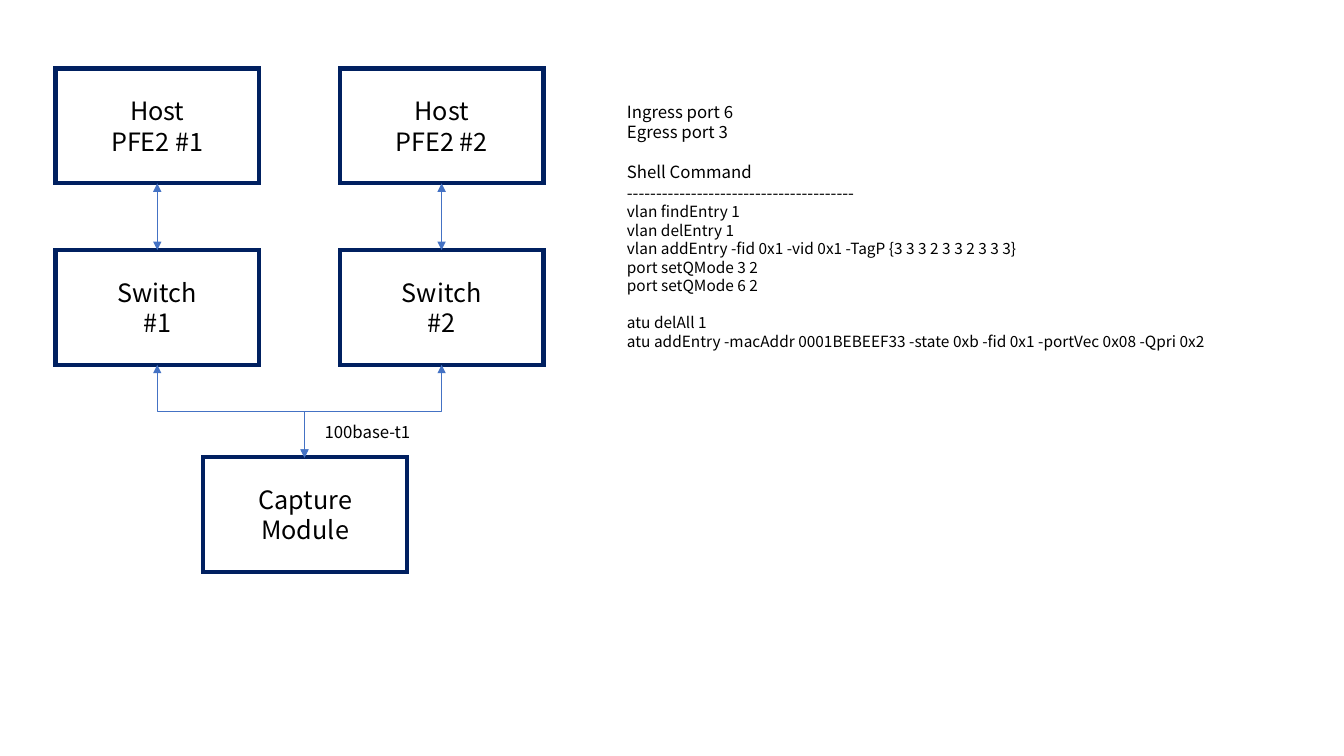
import pptx
import pptx.util
import pptx.dml.color
import pptx.enum.shapes
import pptx.enum.text
import pptx.oxml
import pptx.oxml.ns

Inches, Pt = pptx.util.Inches, pptx.util.Pt
CONNECTOR = pptx.enum.shapes.MSO_CONNECTOR

# Content: box lines with column and row on the diagram grid
BOXES = [
    (("Switch", "#1"), 0, 1),
    (("Switch", "#2"), 1, 1),
    (("Capture", "Module"), 0.52, 2.14),
    (("Host", "PFE2 #1"), 0, 0),
    (("Host", "PFE2 #2"), 1, 0),
]
# Each command line: text, size, space before
COMMANDS = [
    ("Ingress port 6", 12, 0),
    ("Egress port 3", 12, 0),
    ("Shell Command", 12, 14.4),
    ("---------------------------------------", 12, 0),
    ("vlan findEntry 1", 11, 0),
    ("vlan delEntry 1", 11, 0),
    ("vlan addEntry -fid 0x1 -vid 0x1 -TagP {3 3 3 2 3 3 2 3 3 3}", 11, 0),
    ("port setQMode 3 2", 11, 0),
    ("port setQMode 6 2", 11, 0),
    ("atu delAll 1", 11, 13.2),
    ("atu addEntry -macAddr 0001BEBEEF33 -state 0xb -fid 0x1 -portVec 0x08 -Qpri 0x2", 11, 0),
]
LINK_LABEL = [("100base-t1", 12, 0)]

FONT = "Noto Sans CJK KR"
COLOURS = {"text": "000000", "border": "002060", "link": "4472C4"}

# Grid in inches
LEFT, TOP = 0.55, 0.68
COLUMN, ROW = 2.82, 1.8
BOX_WIDTH, BOX_HEIGHT = 2.02, 1.14

deck = pptx.Presentation()
deck.slide_width, deck.slide_height = Inches(13.33), Inches(7.5)
page = deck.slides.add_slide(deck.slide_layouts[6])


def colour(name):
    return pptx.dml.color.RGBColor.from_string(COLOURS[name])


def append_tag(parent, tag, attributes=""):
    """Append an empty drawing element to a parent element."""
    parent.append(pptx.oxml.parse_xml(
        f'<a:{tag} {pptx.oxml.ns.nsdecls("a")} {attributes}/>'))


def write(frame, lines, align=None):
    """Fill a frame with (text, size, space before) lines."""
    frame.word_wrap = True
    frame.text = "\n".join(text for text, size, gap in lines)
    for para, (text, size, gap) in zip(frame.paragraphs, lines):
        para.alignment = align
        if gap:
            para.space_before = Pt(gap)
        for span in para.runs:
            span.font.size = Pt(size)
            span.font.name = FONT
            span.font.color.rgb = colour("text")
            for tag in ("ea", "cs"):
                append_tag(span.font._element, tag, f'typeface="{FONT}"')


def add_box(lines, column, row):
    box = page.shapes.add_shape(
        pptx.enum.shapes.MSO_SHAPE.RECTANGLE,
        Inches(LEFT + column * COLUMN), Inches(TOP + row * ROW),
        Inches(BOX_WIDTH), Inches(BOX_HEIGHT))
    box.shadow.inherit = False
    box.fill.background()
    box.line.color.rgb = colour("border")
    box.line.width = Pt(3)
    append_tag(box.line._get_or_add_ln(), "miter", 'lim="800000"')
    box.text_frame.vertical_anchor = pptx.enum.text.MSO_ANCHOR.MIDDLE
    write(box.text_frame, [(text, 18, 0) for text in lines],
          pptx.enum.text.PP_ALIGN.CENTER)


def add_link(kind, start, end):
    """Draw a line with an arrowhead at each end."""
    link = page.shapes.add_connector(kind, *(Inches(v) for v in start + end))
    link.line.color.rgb = colour("link")
    link.line.width = Pt(0.5)
    for tag in ("headEnd", "tailEnd"):
        append_tag(link.line._get_or_add_ln(), tag, 'type="triangle"')
    append_tag(link._element.spPr, "effectLst")
    return link


def add_elbow(start, end):
    """Draw a down-across-down elbow as a quarter-turned connector."""
    middle_x, middle_y = (start[0] + end[0]) / 2, (start[1] + end[1]) / 2
    half_drop, half_run = (end[1] - start[1]) / 2, abs(end[0] - start[0]) / 2
    side = 1 if end[0] > start[0] else -1
    link = add_link(
        CONNECTOR.ELBOW,
        (middle_x + side * half_drop, middle_y - half_run),
        (middle_x - side * half_drop, middle_y + half_run))
    degrees = 270 if side > 0 else 90
    link._element.spPr.xfrm.set("rot", str(degrees * 60000))


def add_text(lines, left, top, width, height):
    box = page.shapes.add_textbox(*(Inches(v) for v in (left, top, width, height)))
    write(box.text_frame, lines)


# Boxes
for lines, column, row in BOXES:
    add_box(lines, column, row)

# Links between rows, then down to the capture module
upper_bottom, lower_top = TOP + BOX_HEIGHT, TOP + ROW
lower_bottom = lower_top + BOX_HEIGHT
capture_top = (3.02, 4.54)
for column in (0, 1):
    center = LEFT + BOX_WIDTH / 2 + column * COLUMN
    add_link(CONNECTOR.STRAIGHT, (center, upper_bottom), (center, lower_top))
    add_elbow((center, lower_bottom), capture_top)

# Commands and link label
add_text(COMMANDS, 6.12, 0.96, 6.67, 2.59)
add_text(LINK_LABEL, 3.12, 4.13, 1.65, 0.3)

deck.save("out.pptx")
